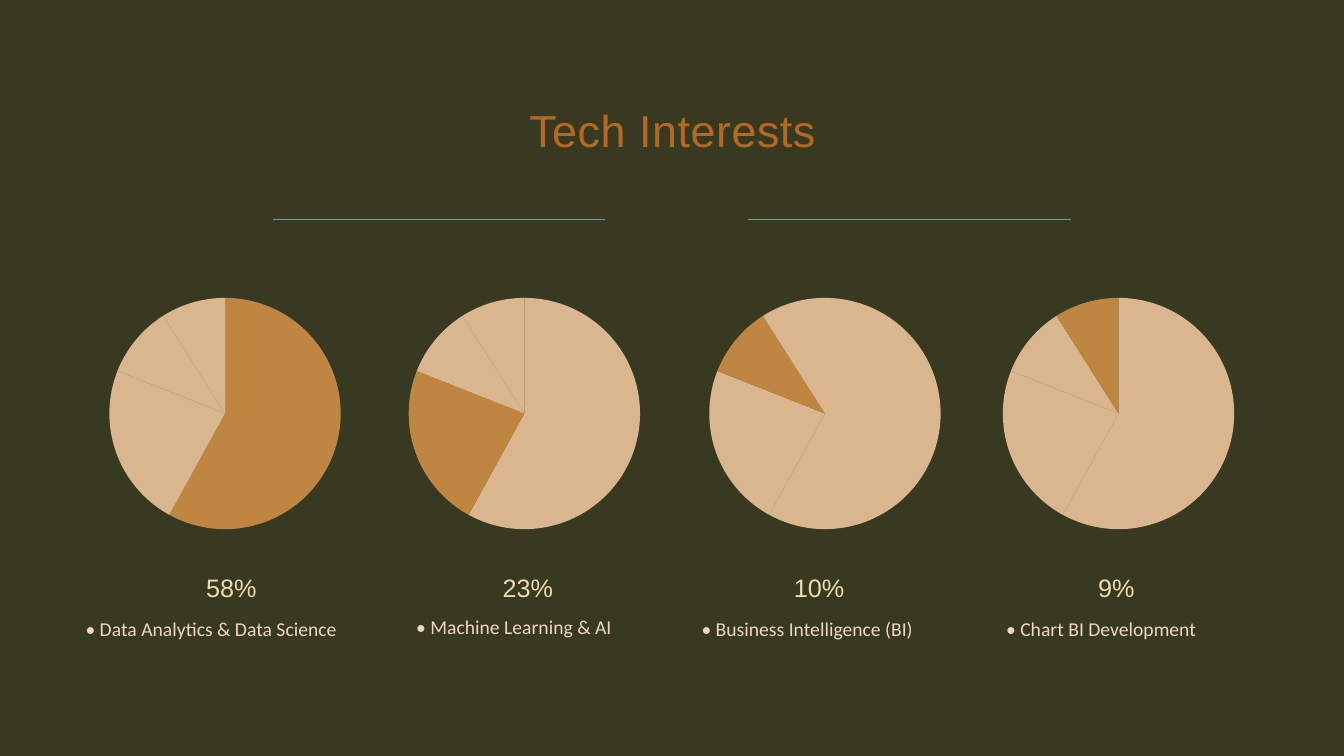
import pptx
import pptx.chart.data
import pptx.dml.color
import pptx.enum.chart
import pptx.enum.shapes
import pptx.enum.text
import pptx.oxml
import pptx.oxml.ns
import pptx.util

Inches = pptx.util.Inches
Pt = pptx.util.Pt
qn = pptx.oxml.ns.qn

COLOURS = {
    "background": "373921",
    "title": "B46823",
    "accent": "BF8641",
    "rest": "D9B68D",
    "percent": "F2DAAC",
    "label": "F2D6BD",
    "chart": "000000",
}
SHARES = [58, 23, 10, 9]
PIE_LEFT, PIE_STEP = 0.96, 2.94
PLOT_LEFTS = [0.048, 0.059, 0.075, 0.064]
TITLE_LEFTS = [0.4, 0.4, 0.38, 0.41]
LABELS = [
    ("• Data Analytics & Data Science", 0.75, 6.07, 3.01),
    ("• Machine Learning & AI", 4.03, 6.05, 2.37),
    ("• Business Intelligence (BI)", 6.86, 6.07, 2.57),
    ("• Chart BI Development", 9.88, 6.07, 2.39),
]
RULES = [(2.71, 6), (7.42, 10.62)]


def colour(name):
    return pptx.dml.color.RGBColor.from_string(COLOURS[name])


class InterestsPage:
    """Draws styled elements on one slide."""

    def __init__(self, deck):
        self.page = deck.slides.add_slide(deck.slide_layouts[5])
        fill = self.page.background.fill
        fill.solid()
        fill.fore_color.rgb = colour("background")

    def style(self, font, face, size, name):
        font.name = face
        font.size = Pt(size)
        font.bold = False
        font.color.rgb = colour(name)

    def title(self, text, left, top, width, height):
        box = self.page.shapes.title
        box.left, box.top = Inches(left), Inches(top)
        box.width, box.height = Inches(width), Inches(height)
        frame = box.text_frame
        frame.text = text
        frame.vertical_anchor = pptx.enum.text.MSO_ANCHOR.MIDDLE
        para = frame.paragraphs[0]
        para.alignment = pptx.enum.text.PP_ALIGN.CENTER
        para.line_spacing = 0.9
        span = para.runs[0]
        self.style(span.font, "Arial", 32, "title")
        span.font.element.set("spc", "40") if hasattr(span.font, "element") else \
            para._p.find(".//" + qn("a:rPr")).set("spc", "40")

    def rule(self, start, end, top):
        line = self.page.shapes.add_connector(
            pptx.enum.shapes.MSO_CONNECTOR.STRAIGHT,
            Inches(start), Inches(top), Inches(end), Inches(top))
        line.line.color.rgb = colour("accent")
        line.line.width = Pt(1)
        properties = line.element.find(qn("p:spPr"))
        properties.append(pptx.oxml.parse_xml(
            f"<a:effectLst {pptx.oxml.ns.nsdecls('a')}/>"))

    def place(self, parent, index, **values):
        old = parent.find(qn("c:layout"))
        if old is not None:
            parent.remove(old)
        entries = "".join(f'<c:{key} val="{value}"/>' for key, value in values.items())
        parent.insert(index, pptx.oxml.parse_xml(
            f"<c:layout {pptx.oxml.ns.nsdecls('c')}>"
            f"<c:manualLayout>{entries}</c:manualLayout></c:layout>"))

    def pie(self, highlight, left, plot_left, title_left):
        name = f"{SHARES[highlight]}%"
        data = pptx.chart.data.CategoryChartData()
        data.categories = ["1", "2", "3", "4"]
        data.add_series(name, SHARES)
        chart = self.page.shapes.add_chart(
            pptx.enum.chart.XL_CHART_TYPE.PIE,
            Inches(left), Inches(2.53), Inches(2.6), Inches(3.87), data).chart
        self.style(chart.font, "Calibri", 10, "chart")
        chart.has_legend = False
        chart.has_title = True
        frame = chart.chart_title.text_frame
        frame.text = name
        self.style(frame.paragraphs[0].runs[0].font, "Arial", 18, "percent")
        self.place(chart.chart_title.element, 1,
                   xMode="edge", yMode="edge", x=title_left, y=0.8)
        self.place(chart.element.find(".//" + qn("c:plotArea")), 0,
                   layoutTarget="inner", xMode="edge", yMode="edge",
                   x=plot_left, y=0.11, w=0.883, h=0.593)
        series = chart.plots[0].series[0]
        for index in range(len(SHARES)):
            fill = series.points[index].format.fill
            fill.solid()
            fill.fore_color.rgb = colour("accent" if index == highlight else "rest")

    def label(self, text, left, top, width):
        box = self.page.shapes.add_textbox(
            Inches(left), Inches(top), Inches(width), Inches(0.34))
        frame = box.text_frame
        frame.word_wrap = False
        frame.auto_size = pptx.enum.text.MSO_AUTO_SIZE.SHAPE_TO_FIT_TEXT
        frame.text = text
        self.style(frame.paragraphs[0].runs[0].font, "Calibri", 14, "label")


def main():
    deck = pptx.Presentation()
    deck.slide_width, deck.slide_height = Inches(13.33), Inches(7.5)
    page = InterestsPage(deck)
    page.title("Tech Interests", 0.5, 0.82, 12.34, 1)
    for start, end in RULES:
        page.rule(start, end, 2.18)
    for index, lefts in enumerate(zip(PLOT_LEFTS, TITLE_LEFTS)):
        page.pie(index, PIE_LEFT + index * PIE_STEP, *lefts)
    for label in LABELS:
        page.label(*label)
    deck.save("out.pptx")


if __name__ == "__main__":
    main()
